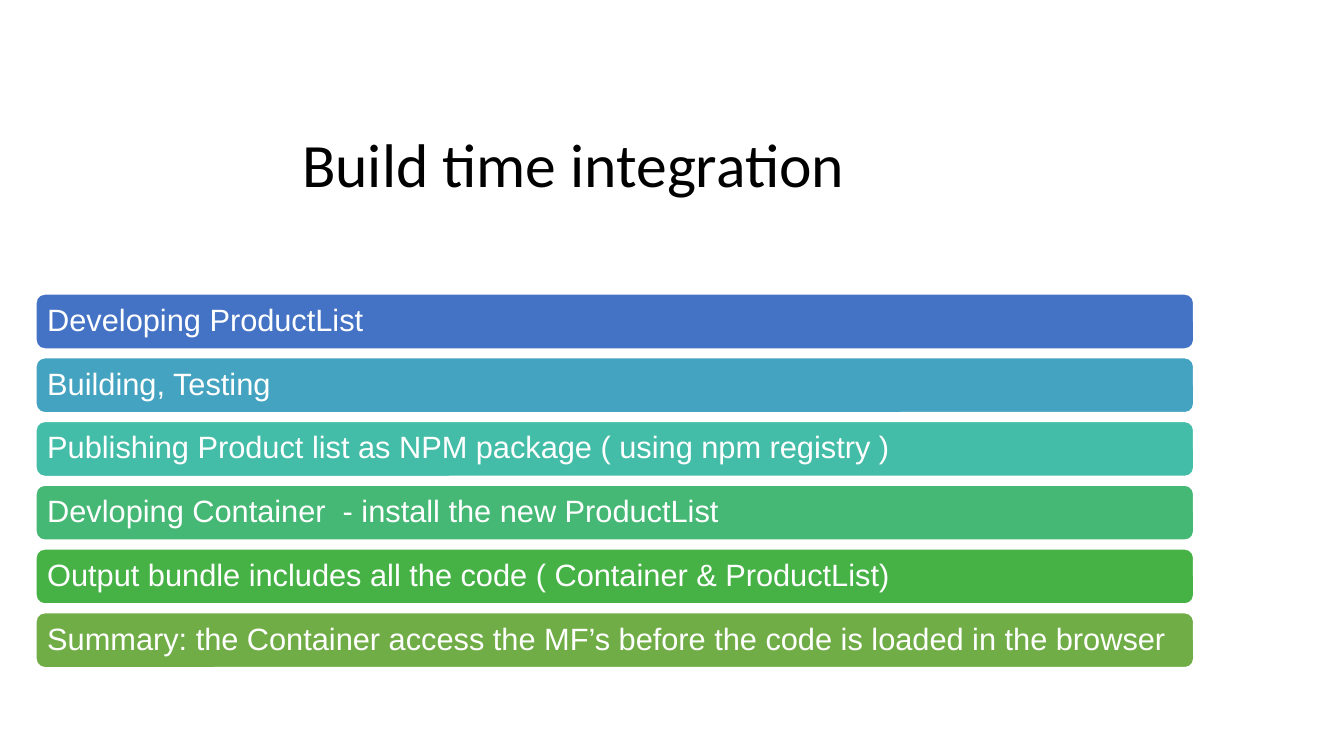
from pptx import Presentation
from pptx.dml.color import RGBColor
from pptx.enum.shapes import MSO_SHAPE
from pptx.enum.text import MSO_ANCHOR, PP_ALIGN
from pptx.util import Pt

ROUNDED = MSO_SHAPE.ROUNDED_RECTANGLE
MIDDLE = MSO_ANCHOR.MIDDLE
LEFT = PP_ALIGN.LEFT

TITLE = "Build time integration"
STEPS = [
    ("Developing ProductList", "4472C4"),
    ("Building, Testing", "44A3C0"),
    ("Publishing Product list as NPM package ( using npm registry )", "43BDA7"),
    ("Devloping Container  - install the new ProductList", "44B874"),
    ("Output bundle includes all the code ( Container & ProductList)", "46B246"),
    ("Summary: the Container access the MF’s before the code is loaded in the browser", "70AD47"),
]

STEP_LEFT, STEP_TOP = 25.2, 209.5
STEP_WIDTH, STEP_HEIGHT, STEP_PITCH = 828, 40.3, 45.53


def rgb(value):
    return RGBColor.from_string(value)


def write(frame, wording, font_name, size, color):
    frame.word_wrap = True
    frame.vertical_anchor = MIDDLE
    frame.text = wording
    paragraph = frame.paragraphs[0]
    paragraph.alignment = LEFT
    paragraph.line_spacing = 0.9
    font = paragraph.runs[0].font
    font.name = font_name
    font.size = Pt(size)
    font.color.rgb = rgb(color)


def add_step(slide, index, wording, color):
    step = slide.shapes.add_shape(
        ROUNDED, Pt(STEP_LEFT), Pt(STEP_TOP + index * STEP_PITCH),
        Pt(STEP_WIDTH), Pt(STEP_HEIGHT))
    step.shadow.inherit = False
    step.fill.solid()
    step.fill.fore_color.rgb = rgb(color)
    step.line.color.rgb = rgb("FFFFFF")
    step.line.width = Pt(2)
    frame = step.text_frame
    frame.margin_left = frame.margin_right = Pt(6.6)
    frame.margin_top = frame.margin_bottom = Pt(0)
    write(frame, wording, "Arial", 22, "FFFFFF")


def main():
    deck = Presentation()
    deck.slide_width, deck.slide_height = Pt(960), Pt(540)
    slide = deck.slides.add_slide(deck.slide_layouts[6])

    title = slide.shapes.add_textbox(Pt(208.8), Pt(67.7), Pt(643.7), Pt(104.4))
    write(title.text_frame, TITLE, "Calibri", 44, "000000")

    for index, (wording, color) in enumerate(STEPS):
        add_step(slide, index, wording, color)

    deck.save("out.pptx")


if __name__ == "__main__":
    main()
